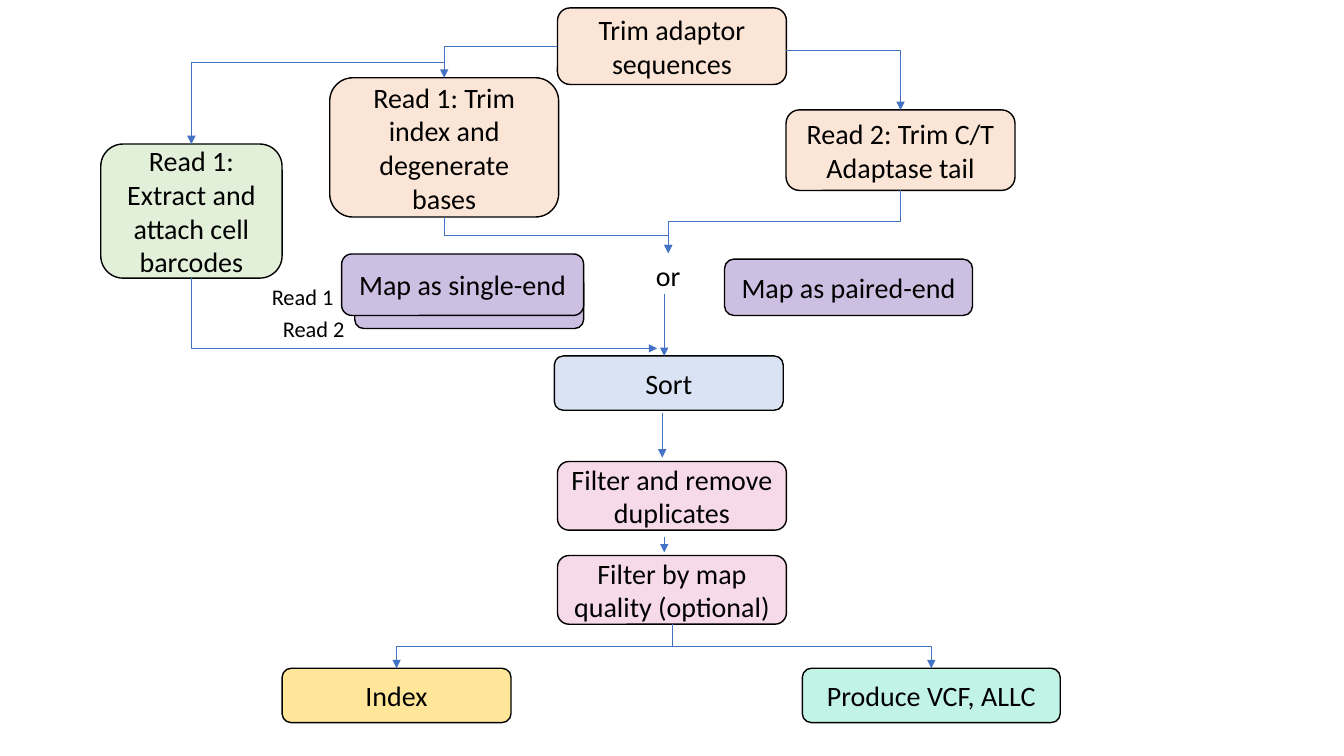
import pptx
import pptx.dml.color
import pptx.enum.shapes
import pptx.enum.text
import pptx.oxml
import pptx.oxml.ns
import pptx.util
from pptx.util import Cm

TOP, LEFT, BOTTOM, RIGHT = range(4)


def color(hex_string):
    return pptx.dml.color.RGBColor.from_string(hex_string)


def apply(target, values):
    """Set every attribute of target named in values."""
    for name, value in values.items():
        setattr(target, name, value)


def side(box, which):
    """Return the middle of one side of a box."""
    across, down = {TOP: (0.5, 0), LEFT: (0, 0.5),
                    BOTTOM: (0.5, 1), RIGHT: (1, 0.5)}[which]
    return int(box.left + across * box.width), int(box.top + down * box.height)


class Flowchart:
    font = "Calibri"
    ink = "000000"
    arrow_color = "4472C4"

    def __init__(self, slide):
        self.shapes = slide.shapes

    def add_text(self, shape, text, size, align, **frame_values):
        frame = shape.text_frame
        apply(frame, frame_values)
        paragraph = frame.paragraphs[0]
        paragraph.alignment = align
        run = paragraph.add_run()
        run.text = text
        apply(run.font, {"name": self.font, "size": pptx.util.Pt(size)})
        run.font.color.rgb = color(self.ink)

    def step(self, text, fill, left, top, width, height):
        """Add a rounded box holding one step of the process."""
        box = self.shapes.add_shape(
            pptx.enum.shapes.MSO_SHAPE.ROUNDED_RECTANGLE,
            Cm(left), Cm(top), Cm(width), Cm(height))
        box.shadow.inherit = False
        box.fill.solid()
        box.fill.fore_color.rgb = color(fill)
        box.line.color.rgb = color(self.ink)
        box.line.width = pptx.util.Pt(1)
        if text:
            self.add_text(box, text, 20, pptx.enum.text.PP_ALIGN.CENTER, word_wrap=True,
                          vertical_anchor=pptx.enum.text.MSO_ANCHOR.MIDDLE)
        return box

    def label(self, text, size, left, top, width, height):
        box = self.shapes.add_textbox(Cm(left), Cm(top), Cm(width), Cm(height))
        self.add_text(box, text, size, pptx.enum.text.PP_ALIGN.LEFT, word_wrap=False,
                      auto_size=pptx.enum.text.MSO_AUTO_SIZE.SHAPE_TO_FIT_TEXT)

    def arrow(self, start, end, preset="line"):
        """Add an arrow; a bent preset leaves its start horizontally."""
        kinds = pptx.enum.shapes.MSO_CONNECTOR
        kind = kinds.STRAIGHT if preset == "line" else kinds.ELBOW
        connector = self.shapes.add_connector(kind, *start, *end)
        connector.line.color.rgb = color(self.arrow_color)
        connector.line.width = pptx.util.Pt(0.5)
        properties = connector._element.spPr
        properties.find(pptx.oxml.ns.qn("a:prstGeom")).set("prst", preset)
        head = pptx.oxml.parse_xml(
            f'<a:tailEnd {pptx.oxml.ns.nsdecls("a")} type="triangle"/>')
        properties.find(pptx.oxml.ns.qn("a:ln")).append(head)
        properties.append(pptx.oxml.parse_xml(
            f'<a:effectLst {pptx.oxml.ns.nsdecls("a")}/>'))
        return connector

    def drop_arrow(self, start, end, preset="bentConnector3"):
        """Add a bent arrow that leaves its start downwards, by a quarter turn."""
        (x1, y1), (x2, y2) = start, end
        middle_x, middle_y = (x1 + x2) // 2, (y1 + y2) // 2
        half_x, half_y = (x2 - x1) // 2, (y2 - y1) // 2
        connector = self.arrow((middle_x - half_y, middle_y + half_x),
                               (middle_x + half_y, middle_y - half_x), preset)
        transform = connector._element.spPr.find(pptx.oxml.ns.qn("a:xfrm"))
        transform.set("rot", str(90 * 60000))


def main():
    deck = pptx.Presentation()
    apply(deck, {"slide_width": Cm(33.87), "slide_height": Cm(19.05)})
    chart = Flowchart(deck.slides.add_slide(deck.slide_layouts[6]))

    width, low, middle = 5.77, 1.37, 1.73
    peach, purple, pink = "FBE5D6", "CCBFE2", "F7DAEA"
    center = 14.05

    adaptor = chart.step("Trim adaptor sequences", peach, center, 0.2, width, 1.93)
    read1 = chart.step("Read 1: Trim index and degenerate bases", peach,
                       8.31, 1.96, width, 3.51)
    read2 = chart.step("Read 2: Trim C/T Adaptase tail", peach, 19.81, 2.77, width, 2.03)
    barcodes = chart.step("Read 1: Extract and attach cell barcodes", "E2F0D9",
                          2.54, 3.63, 4.57, 3.38)
    chart.step("Map as paired-end", purple, 18.26, 6.53, 6.25, 1.42)
    chart.step("Sort", "DAE3F3", 13.97, 8.97, width, low)
    chart.step("Filter and remove duplicates", pink, center, 11.63, width, middle)
    quality = chart.step("Filter by map quality (optional)", pink,
                         center, 14, width, middle)
    index = chart.step("Index", "FFE699", 7.11, 16.84, width, low)
    produce = chart.step("Produce VCF, ALLC", "C1F4E7", 20.22, 16.84, 6.5, low)
    chart.step("", purple, 8.94, 6.91, width, low)
    chart.step("Map as single-end", purple, 8.61, 6.4, 6.1, 1.55)

    chart.label("or", 20, 16.28, 6.38, 1.14, 1.11)
    chart.label("Read 1", 16, 6.6, 7.01, 2.08, 0.94)
    chart.label("Read 2", 16, 6.88, 7.82, 2.08, 0.94)

    read1_top = side(read1, TOP)
    quality_bottom, produce_top = side(quality, BOTTOM), side(produce, TOP)
    fork = quality_bottom[0], (quality_bottom[1] + produce_top[1]) // 2
    for start, end in [
        (side(adaptor, LEFT), read1_top),
        ((side(adaptor, RIGHT)[0], Cm(1.28)), side(read2, TOP)),
        ((read1_top[0], Cm(1.57)), side(barcodes, TOP)),
        (fork, produce_top),
    ]:
        chart.arrow(start, end, "bentConnector2")

    mapping = Cm(16.84), Cm(6.38)
    for start, end in [
        (side(read1, BOTTOM), mapping),
        (side(read2, BOTTOM), mapping),
        (quality_bottom, side(index, TOP)),
    ]:
        chart.drop_arrow(start, end)
    chart.drop_arrow(side(barcodes, BOTTOM), (Cm(16.56), Cm(8.78)), "bentConnector2")

    for x, top, bottom in [(16.74, 7.42, 8.97), (16.69, 10.41, 11.53),
                           (16.74, 13.54, 13.92)]:
        chart.arrow((Cm(x), Cm(top)), (Cm(x), Cm(bottom)))

    deck.save("out.pptx")


if __name__ == "__main__":
    main()
